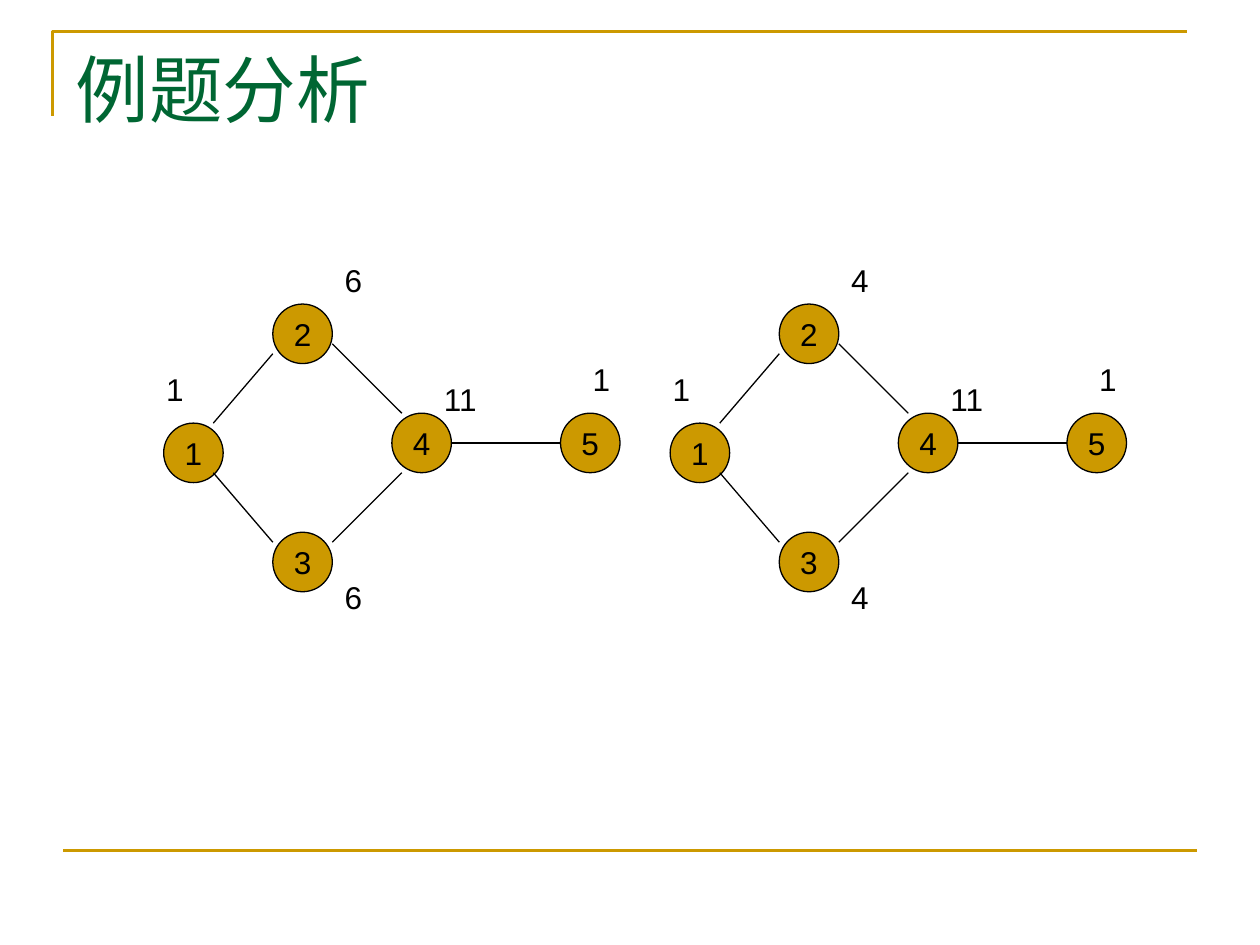
from lxml.etree import SubElement
from pptx import Presentation
from pptx.dml.color import RGBColor
from pptx.enum.shapes import MSO_CONNECTOR, MSO_SHAPE
from pptx.enum.text import MSO_ANCHOR, MSO_AUTO_SIZE, PP_ALIGN
from pptx.oxml.ns import qn
from pptx.util import Cm, Pt

# Places inside a graph, in cm from its origin
NODE_SIZE = 1.2
NODES = {"1": (0, 3.4), "5": (8, 3.2), "3": (2.2, 5.6), "2": (2.2, 1), "4": (4.6, 3.2)}
EDGES = [
    (2.2, 2, 1, 3.4),
    (1, 4.4, 2.2, 5.8),
    (3.4, 1.8, 4.8, 3.2),
    (4.8, 4.4, 3.4, 5.8),
    (5.8, 3.8, 8, 3.8),
]
WEIGHT_PLACES = {"2": (3.4, 0), "3": (3.4, 6.4), "4": (5.4, 2.4), "1": (-0.2, 2.2), "5": (8.4, 2)}


def color(value):
    return RGBColor.from_string(value)


def write(shape, text, *, size=18, font="Arial", fill="000000",
          align=PP_ALIGN.LEFT, anchor=MSO_ANCHOR.TOP, wrap=True):
    tf = shape.text_frame
    tf.word_wrap = wrap
    tf.auto_size = MSO_AUTO_SIZE.NONE
    tf.vertical_anchor = anchor
    p = tf.paragraphs[0]
    p.alignment = align
    r = p.add_run()
    r.text = text
    r.font.size = Pt(size)
    r.font.name = font
    r.font.color.rgb = color(fill)


class GraphSlide:
    gold = "CC9900"
    green = "006633"
    black = "000000"

    def __init__(self, s):
        self.s = s

    def title(self, text):
        sp = self.s.shapes.title
        sp.left, sp.top, sp.width, sp.height = Cm(1.27), Cm(0.76), Cm(22.86), Cm(3.18)
        write(sp, text, size=42, font="Times New Roman", fill=self.green)

    def corner(self, left, top, right, bottom):
        """Draw the open frame line that runs up the left and along the top."""
        builder = self.s.shapes.build_freeform(Cm(left), Cm(bottom))
        builder.add_line_segments([(Cm(left), Cm(top)), (Cm(right), Cm(top))], close=False)
        sp = builder.convert_to_shape()
        sp.shadow.inherit = False
        sp.fill.background()
        sp.line.color.rgb = color(self.gold)
        sp.line.width = Pt(1.5)

    def line(self, x1, y1, x2, y2, stroke=black, width=0.75):
        sp = self.s.shapes.add_connector(MSO_CONNECTOR.STRAIGHT, Cm(x1), Cm(y1), Cm(x2), Cm(y2))
        sp.line.color.rgb = color(stroke)
        sp.line.width = Pt(width)
        SubElement(sp._element.spPr, qn("a:effectLst"))

    def node(self, x, y, name):
        sp = self.s.shapes.add_shape(MSO_SHAPE.OVAL, Cm(x), Cm(y), Cm(NODE_SIZE), Cm(NODE_SIZE))
        sp.shadow.inherit = False
        sp.fill.solid()
        sp.fill.fore_color.rgb = color(self.gold)
        sp.line.color.rgb = color(self.black)
        sp.line.width = Pt(0.75)
        write(sp, name, align=PP_ALIGN.CENTER, anchor=MSO_ANCHOR.MIDDLE, wrap=False)

    def weight(self, x, y, text):
        write(self.s.shapes.add_textbox(Cm(x), Cm(y), Cm(1.4), Cm(1.02)), text)

    def graph(self, left, top, weights):
        for name, (x, y) in NODES.items():
            self.node(left + x, top + y, name)
        for x1, y1, x2, y2 in EDGES:
            self.line(left + x1, top + y1, left + x2, top + y2)
        for name, (x, y) in WEIGHT_PLACES.items():
            self.weight(left + x, top + y, weights[name])


def main():
    prs = Presentation()
    prs.slide_width, prs.slide_height = Cm(25.4), Cm(19.05)
    slide = GraphSlide(prs.slides.add_slide(prs.slide_layouts[5]))
    slide.corner(1.06, 0.64, 23.92, 2.33)
    slide.line(1.27, 17.15, 24.13, 17.15, stroke=slide.gold, width=1.5)
    slide.title("例题分析")
    for i, middle in enumerate(["6", "4"]):
        weights = {"1": "1", "2": middle, "3": middle, "4": "11", "5": "1"}
        slide.graph(3.3 + i * 10.21, 5.13, weights)
    prs.save("out.pptx")


if __name__ == "__main__":
    main()
